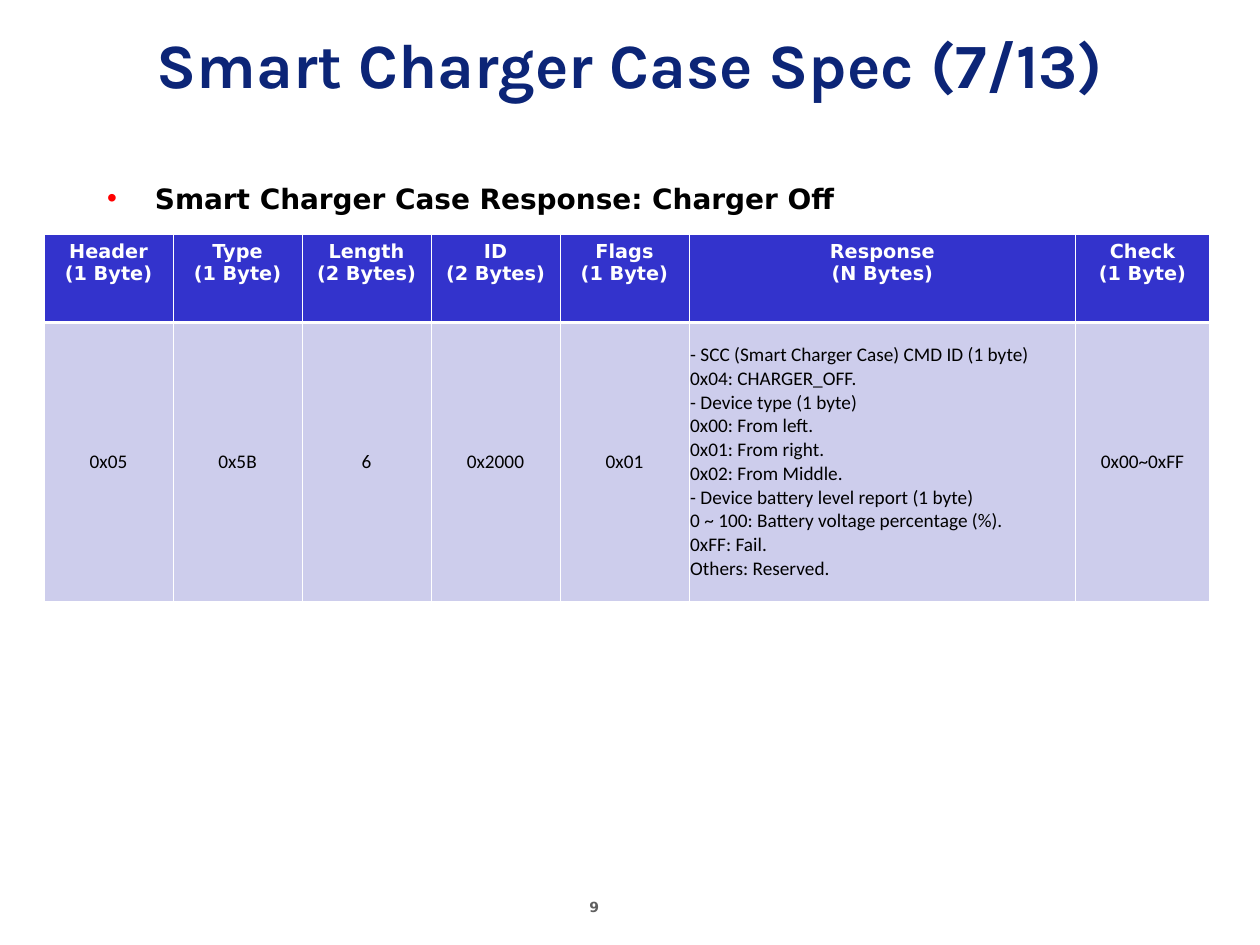
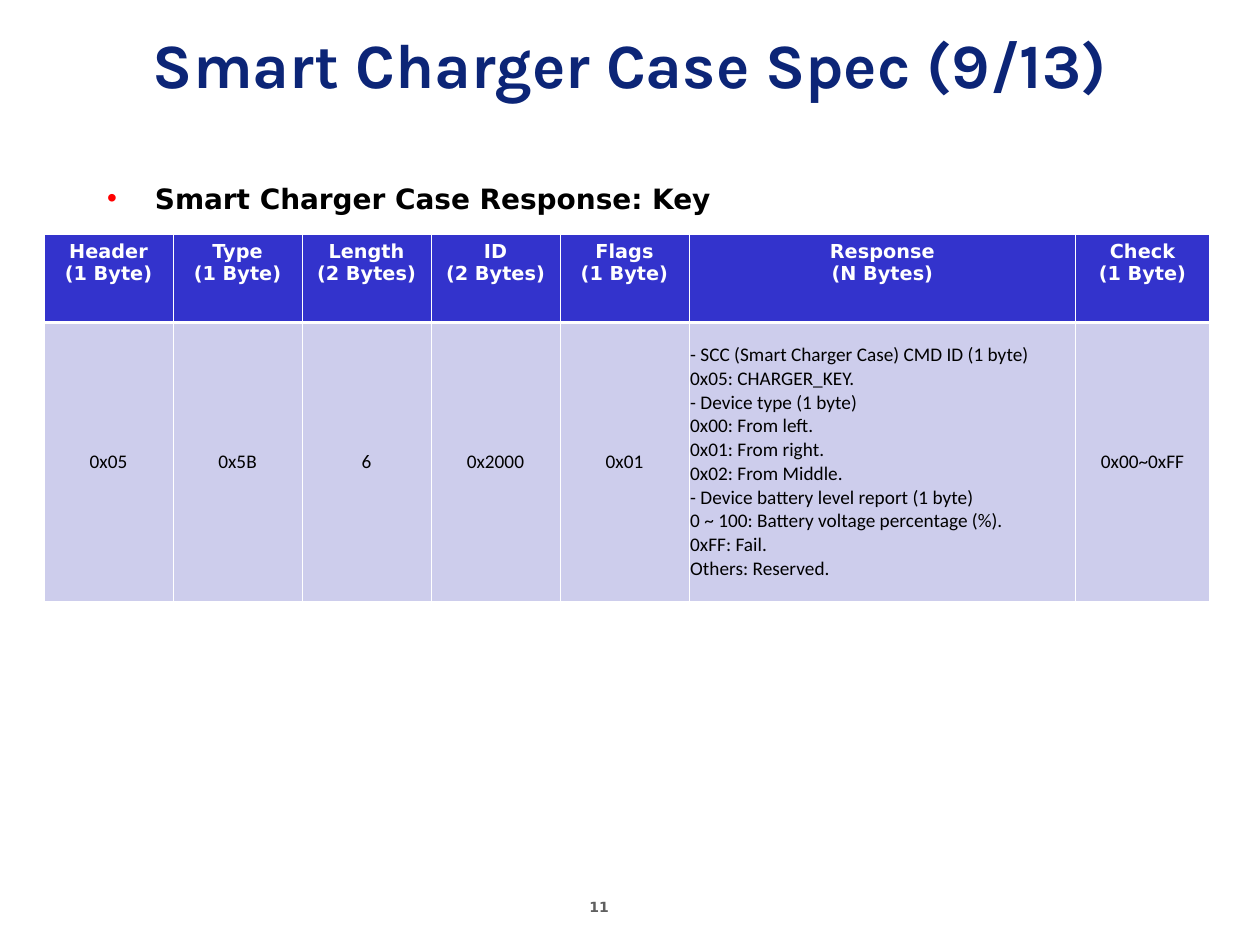
from lxml import etree
from pptx import Presentation
from pptx.dml.color import RGBColor
from pptx.enum.text import MSO_ANCHOR, MSO_AUTO_SIZE, PP_ALIGN
from pptx.oxml.ns import qn
from pptx.util import Inches, Pt

LEFT, CENTER = PP_ALIGN.LEFT, PP_ALIGN.CENTER
TOP, MIDDLE = MSO_ANCHOR.TOP, MSO_ANCHOR.MIDDLE
FIXED = MSO_AUTO_SIZE.NONE

COLORS = {
    "title": "0C2577",
    "text": "000000",
    "bullet": "FF0000",
    "head": "3333CC",
    "body": "CDCDEC",
    "white": "FFFFFF",
    "number": "5F5F5F",
}
SANS, TITLE, PLAIN = "DejaVu Sans", "Karla", "Calibri"
THIN, THICK = 0.45, 1.47

# Boxes: left, top, width, height in inches
TITLE_BOX = (0, 0, 10, 1)
LIST_BOX = (0.75, 1.39, 9.25, 5.17)
TABLE_BOX = (0.35, 1.86, 9.25, 2.91)
NUMBER_BOX = (4.58, 7.08, 0.77, 0.26)

RESPONSE = 5
WIDE, CHECK = 3.07, 1.06
HEAD_HEIGHT = 0.7
HEADS = [
    ("Header", "1 Byte"),
    ("Type", "1 Byte"),
    ("Length", "2 Bytes"),
    ("ID", "2 Bytes"),
    ("Flags", "1 Byte"),
    ("Response", "N Bytes"),
    ("Check", "1 Byte"),
]
REPORT = """- SCC (Smart Charger Case) CMD ID (1 byte)
{}
- Device type (1 byte)
0x00: From left.
0x01: From right.
0x02: From Middle.
- Device battery level report (1 byte)
0 ~ 100: Battery voltage percentage (%).
0xFF: Fail.
Others: Reserved."""

# Part, response name, command line, page number
PAGES = [
    (7, "Charger Off", "0x04: CHARGER_OFF.", 9),
    (9, "Key", "0x05: CHARGER_KEY.", 11),
]


def place(shape, box):
    shape.left, shape.top, shape.width, shape.height = map(Inches, box)


def style(frame, name, size, color, bold=True, align=LEFT):
    for para in frame.paragraphs:
        para.alignment = align
        font = para.font
        font.name, font.size, font.bold = name, Pt(size), bold
        font.color.rgb = RGBColor.from_string(COLORS[color])


def add_title(slide, box, part):
    title = slide.shapes.title
    place(title, box)
    frame = title.text_frame
    frame.text = f"Smart Charger Case Spec ({part}/13)"
    frame.auto_size = FIXED
    frame.vertical_anchor = MIDDLE
    style(frame, TITLE, 36, "title", align=CENTER)


def add_bullet(para, indent):
    props = para._p.get_or_add_pPr()
    props.set("marL", str(Inches(indent)))
    props.set("indent", str(-Inches(indent)))
    tint = etree.SubElement(props, qn("a:buClr"))
    etree.SubElement(tint, qn("a:srgbClr"), val=COLORS["bullet"])
    etree.SubElement(props, qn("a:buChar"), char="•")


def add_list(slide, box, name):
    body = slide.placeholders[1]
    place(body, box)
    frame = body.text_frame
    frame.text = f"Smart Charger Case Response: {name}"
    frame.auto_size = FIXED
    frame.vertical_anchor = TOP
    para = frame.paragraphs[0]
    add_bullet(para, 0.38)
    para.space_before = Pt(0)
    style(frame, SANS, 16, "text")


def set_cell(cell, fill, top, bottom):
    """Give the cell white borders, then its fill."""
    props = cell._tc.get_or_add_tcPr()
    for side, width in zip("LRTB", (THIN, THIN, top, bottom)):
        line = etree.SubElement(props, qn(f"a:ln{side}"), w=str(Pt(width)))
        solid = etree.SubElement(line, qn("a:solidFill"))
        etree.SubElement(solid, qn("a:srgbClr"), val=COLORS["white"])
    cell.fill.solid()
    cell.fill.fore_color.rgb = RGBColor.from_string(COLORS[fill])


def add_fields(slide, box, command):
    """Add the table of packet fields, with a wide column for the response."""
    _, _, width, height = box
    table = slide.shapes.add_table(2, len(HEADS), *map(Inches, box)).table
    narrow = (width - WIDE - CHECK) / RESPONSE
    widths = [narrow] * RESPONSE + [WIDE, CHECK]
    for column, size in zip(table.columns, widths):
        column.width = Inches(size)
    for row, size in zip(table.rows, (HEAD_HEIGHT, height - HEAD_HEIGHT)):
        row.height = Inches(size)

    values = ["0x05", "0x5B", "6", "0x2000", "0x01",
              REPORT.format(command), "0x00~0xFF"]
    for index, ((head, size), value) in enumerate(zip(HEADS, values)):
        cell = table.cell(0, index)
        cell.text = f"{head}\n({size})"
        set_cell(cell, "head", THIN, THICK)
        style(cell.text_frame, SANS, 11, "white", align=CENTER)

        cell = table.cell(1, index)
        cell.text = value
        cell.vertical_anchor = MIDDLE
        cell.margin_left = cell.margin_right = Inches(0.01)
        set_cell(cell, "body", THICK, THIN)
        align = LEFT if index == RESPONSE else CENTER
        style(cell.text_frame, PLAIN, 11, "text", False, align)


def add_number(slide, box, number):
    frame = slide.shapes.add_textbox(*map(Inches, box)).text_frame
    frame.word_wrap = True
    frame.text = str(number)
    style(frame, SANS, 8, "number")


def add_page(deck, part, name, command, number):
    slide = deck.slides.add_slide(deck.slide_layouts[1])
    add_number(slide, NUMBER_BOX, number)
    add_title(slide, TITLE_BOX, part)
    add_list(slide, LIST_BOX, name)
    add_fields(slide, TABLE_BOX, command)


def main():
    deck = Presentation()
    deck.slide_width, deck.slide_height = Inches(10), Inches(7.5)
    for page in PAGES:
        add_page(deck, *page)
    deck.save("out.pptx")


if __name__ == "__main__":
    main()
